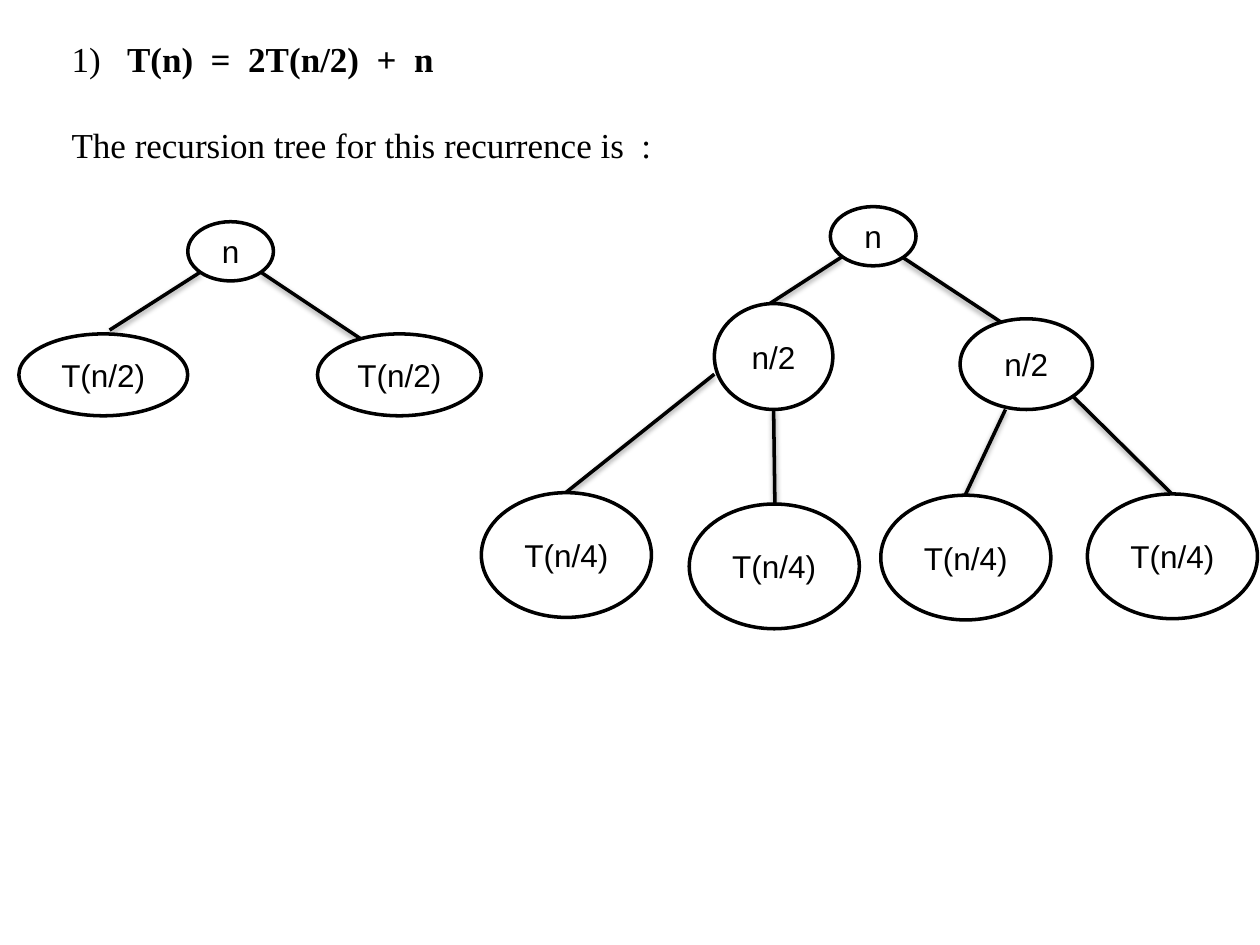
from lxml import etree
from pptx import Presentation
from pptx import util as u
from pptx.dml.color import RGBColor
from pptx.enum import shapes, text
from pptx.oxml import ns

BLACK = RGBColor(0x00, 0x00, 0x00)
WHITE = RGBColor(0xFF, 0xFF, 0xFF)

SMALL = (0.68, 0.47)
LEAF = (1.35, 0.99)

# Nodes: label, (left, top), (width, height). Edges: start, end.
FIRST_LEVEL = {
    "nodes": [
        ("n", (1.49, 1.76), SMALL),
        ("T(n/2)", (0.15, 2.65), (1.34, 0.65)),
        ("T(n/2)", (2.52, 2.65), (1.3, 0.65)),
    ],
    "edges": [
        ((1.59, 2.16), (0.87, 2.62)),
        ((2.07, 2.16), (2.88, 2.7)),
    ],
}
SECOND_LEVEL = {
    "nodes": [
        ("n", (6.59, 1.64), SMALL),
        ("n/2", (5.67, 2.41), (0.94, 0.84)),
        ("n/2", (7.62, 2.53), (1.05, 0.72)),
        ("T(n/4)", (3.82, 3.91), LEAF),
        ("T(n/4)", (5.47, 4), LEAF),
        ("T(n/4)", (6.99, 3.93), LEAF),
        ("T(n/4)", (8.63, 3.92), LEAF),
    ],
    "edges": [
        ((6.68, 2.04), (5.97, 2.5)),
        ((7.16, 2.04), (7.98, 2.58)),
        ((5.67, 2.97), (4.49, 3.91)),
        ((6.14, 3.25), (6.15, 4)),
        ((7.98, 3.25), (7.66, 3.93)),
        ((8.51, 3.14), (9.3, 3.92)),
    ],
}


def inches(*lengths):
    return [u.Inches(length) for length in lengths]


def apply(target, values):
    for name, value in values.items():
        setattr(target, name, value)


class TreeSlide:
    line_width = u.Pt(2)
    body_font = {"name": "Times New Roman", "size": u.Pt(20)}
    node_font = {"name": "Arial", "size": u.Pt(18)}

    def __init__(self, deck):
        self.slide = deck.slides.add_slide(deck.slide_layouts[6])

    def span(self, para, words, font, **extra):
        run = para.add_run()
        run.text = words
        apply(run.font, {**font, **extra})
        run.font.color.rgb = BLACK

    def text_box(self, place, paragraphs, gap, number_indent):
        """Add paragraphs of (words, bold) spans; a tab reaches number_indent."""
        frame = self.slide.shapes.add_textbox(*inches(*place)).text_frame
        frame.word_wrap = True
        for index, spans in enumerate(paragraphs):
            para = frame.add_paragraph() if index else frame.paragraphs[0]
            if index:
                para.space_before = gap
            properties = para._p.get_or_add_pPr()
            tabs = etree.SubElement(properties, ns.qn("a:tabLst"))
            etree.SubElement(tabs, ns.qn("a:tab"), pos=str(number_indent), algn="l")
            for words, bold in spans:
                self.span(para, words, self.body_font, bold=bold)

    def node(self, group, label, corner, size):
        oval = group.shapes.add_shape(
            shapes.MSO_SHAPE.OVAL, *inches(*corner, *size))
        oval.shadow.inherit = False
        oval.fill.solid()
        oval.fill.fore_color.rgb = WHITE
        oval.line.color.rgb = BLACK
        oval.line.width = self.line_width
        frame = oval.text_frame
        apply(frame, {"word_wrap": False,
                      "vertical_anchor": text.MSO_ANCHOR.MIDDLE})
        para = frame.paragraphs[0]
        para.alignment = text.PP_ALIGN.CENTER
        self.span(para, label, self.node_font)

    def edge(self, group, start, end):
        """Add a straight line with a soft shadow below it."""
        line = group.shapes.add_connector(
            shapes.MSO_CONNECTOR.STRAIGHT, *inches(*start, *end))
        line.line.color.rgb = BLACK
        line.line.width = self.line_width
        effects = etree.SubElement(line._element.spPr, ns.qn("a:effectLst"))
        shadow = etree.SubElement(
            effects, ns.qn("a:outerShdw"), blurRad="40000", dist="20000",
            dir="5400000", rotWithShape="0")
        color = etree.SubElement(shadow, ns.qn("a:srgbClr"), val=str(BLACK))
        etree.SubElement(color, ns.qn("a:alpha"), val="38000")

    def tree(self, nodes, edges):
        group = self.slide.shapes.add_group_shape()
        for start, end in edges:
            self.edge(group, start, end)
        for label, corner, size in nodes:
            self.node(group, label, corner, size)


def main():
    deck = Presentation()
    deck.slide_width, deck.slide_height = inches(10, 7.5)
    page = TreeSlide(deck)
    page.text_box(
        (0.47, 0.25, 8.9, 1.11),
        [
            [("1)\t", False), ("T(n)  =  2T(n/2)  +  n", True)],
            [("The recursion tree for this recurrence is  :", False)],
        ],
        gap=u.Pt(25),
        number_indent=u.Inches(0.44),
    )
    for level in (FIRST_LEVEL, SECOND_LEVEL):
        page.tree(**level)
    deck.save("out.pptx")


if __name__ == "__main__":
    main()
